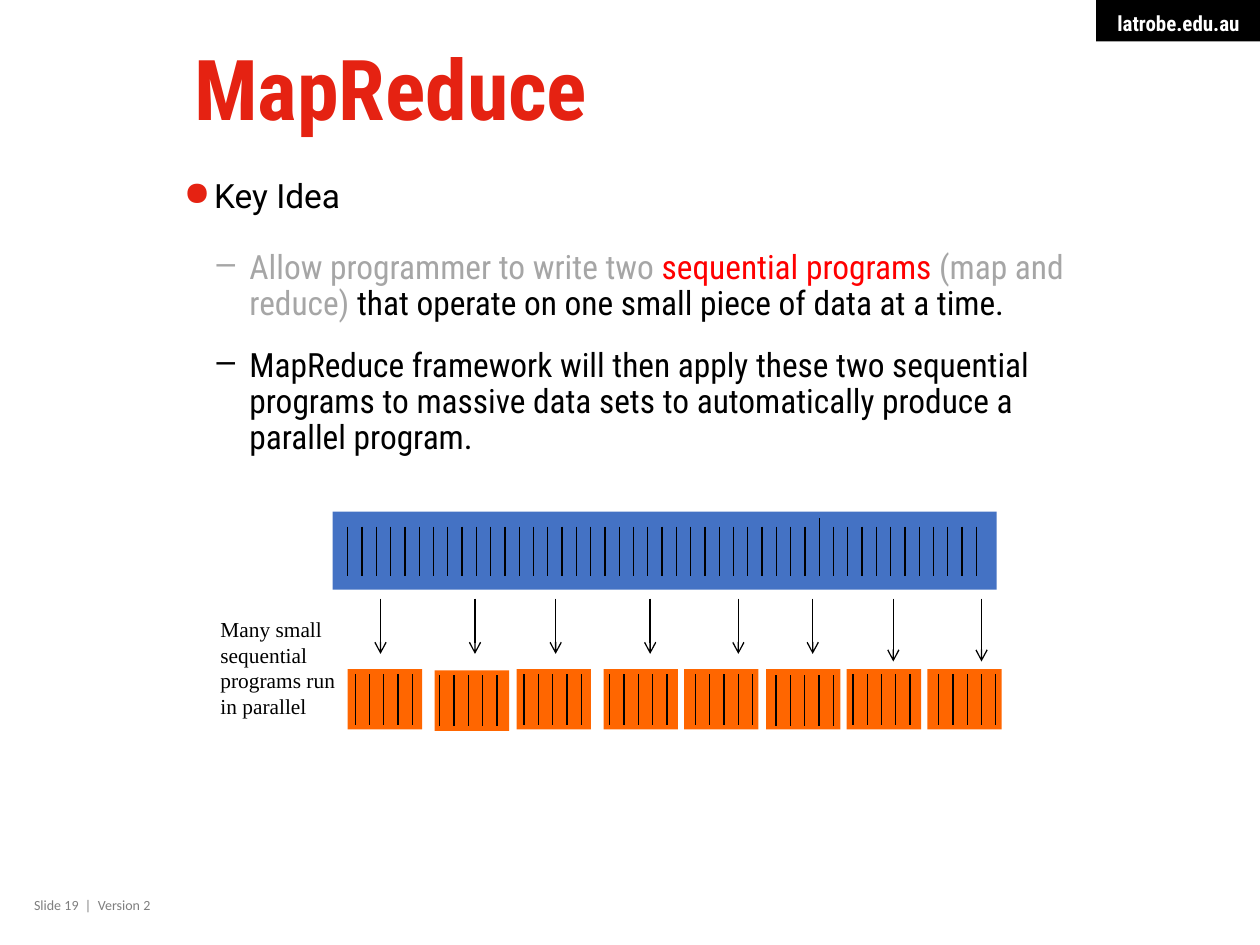
import pptx
import pptx.dml.color
import pptx.enum.shapes
import pptx.enum.text
import pptx.oxml.ns
import pptx.util
from lxml import etree

RGBColor = pptx.dml.color.RGBColor
BLACK = RGBColor(0, 0, 0)
WHITE = RGBColor(255, 255, 255)
BRAND_RED = RGBColor(0xE5, 0x22, 0x12)
BRIGHT_RED = RGBColor(255, 0, 0)
PALE_GREY = RGBColor(0xA6, 0xA6, 0xA6)
FOOTER_GREY = RGBColor(0x7F, 0x7F, 0x7F)
DATA_BLUE = RGBColor(0x44, 0x72, 0xC4)
CHUNK_ORANGE = RGBColor(255, 0x66, 0)

CONDENSED = "Roboto Condensed"
BODY_SIZE = 19.1
TICK_PITCH = 0.1134
DATA_TICKS = 45
TALL_TICK = 33
CHUNK_TICKS = 5
ARROW_TOP = 4.75

# left, top, first tick, tick top, arrow x, arrow end
CHUNKS = [
    (2.76, 5.31, 2.82, 5.35, 3.02, 5.19),
    (3.45, 5.32, 3.49, 5.36, 3.77, 5.19),
    (4.10, 5.31, 4.16, 5.35, 4.41, 5.19),
    (4.79, 5.31, 4.84, 5.35, 5.16, 5.19),
    (5.43, 5.31, 5.52, 5.35, 5.86, 5.19),
    (6.08, 5.31, 6.16, 5.36, 6.45, 5.19),
    (6.72, 5.31, 6.77, 5.35, 7.09, 5.25),
    (7.36, 5.31, 7.45, 5.35, 7.79, 5.25),
]

KEY_POINTS = [
    [("Allow programmer to write two ", PALE_GREY),
     ("sequential programs", BRIGHT_RED),
     (" (map and reduce) ", PALE_GREY),
     ("that operate on one small piece of data at a time.", BLACK)],
    [("MapReduce framework will then apply these two sequential programs to "
      "massive data sets to automatically produce a parallel program.", BLACK)],
]


def inches(*lengths):
    return [pptx.util.Inches(length) for length in lengths]


def set_font(font, name, size, color=None, bold=False):
    font.name = name
    font.size = pptx.util.Pt(size)
    font.bold = bold
    if color is not None:
        font.color.rgb = color


def set_frame(frame, insets=(0, 0, 0, 0), wrap=True):
    (frame.margin_left, frame.margin_top,
     frame.margin_right, frame.margin_bottom) = inches(*insets)
    frame.word_wrap = wrap
    frame.auto_size = pptx.enum.text.MSO_AUTO_SIZE.NONE
    frame.vertical_anchor = pptx.enum.text.MSO_ANCHOR.TOP


def add_label(shapes, box, text, insets, name, size, color):
    label = shapes.add_textbox(*inches(*box))
    set_frame(label.text_frame, insets)
    paragraph = label.text_frame.paragraphs[0]
    paragraph.text = text
    set_font(paragraph.font, name, size, color)


def add_block(shapes, box, color):
    block = shapes.add_shape(
        pptx.enum.shapes.MSO_SHAPE.RECTANGLE, *inches(*box))
    block.shadow.inherit = False
    block.fill.solid()
    block.fill.fore_color.rgb = color
    block.line.fill.background()
    return block


def add_vertical(shapes, x, top, bottom, arrow=False):
    stroke = shapes.add_connector(
        pptx.enum.shapes.MSO_CONNECTOR.STRAIGHT, *inches(x, top, x, bottom))
    stroke.line.color.rgb = BLACK
    stroke.line.width = pptx.util.Pt(0.75)
    qn = pptx.oxml.ns.qn
    if arrow:
        outline = stroke.line._get_or_add_ln()
        etree.SubElement(outline, qn("a:tailEnd"), type="arrow")
    etree.SubElement(stroke._element.spPr, qn("a:effectLst"))


def set_bullet(paragraph, symbol, left, hanging, color=None):
    qn = pptx.oxml.ns.qn
    properties = paragraph._p.get_or_add_pPr()
    properties.set("marL", str(pptx.util.Inches(left)))
    properties.set("indent", str(-pptx.util.Inches(hanging)))
    if color is not None:
        bullet_color = etree.SubElement(properties, qn("a:buClr"))
        etree.SubElement(bullet_color, qn("a:srgbClr"), val=str(color))
    etree.SubElement(properties, qn("a:buChar"), char=symbol)


def add_title(slide):
    title = slide.shapes.title
    title.left, title.top, title.width, title.height = inches(
        1.54, 0.33, 6.68, 0.57)
    set_frame(title.text_frame)
    paragraph = title.text_frame.paragraphs[0]
    paragraph.text = "MapReduce"
    paragraph.alignment = pptx.enum.text.PP_ALIGN.LEFT
    paragraph.line_spacing = pptx.util.Pt(55)
    set_font(paragraph.font, CONDENSED, 48, BRAND_RED, True)


def add_site_banner(slide):
    banner = add_block(slide.shapes, (8.7, 0, 1.3, 0.33), BLACK)
    set_frame(banner.text_frame, (0.16, 0.08, 0.16, 0.05), wrap=False)
    paragraph = banner.text_frame.paragraphs[0]
    paragraph.text = "latrobe.edu.au"
    paragraph.alignment = pptx.enum.text.PP_ALIGN.RIGHT
    set_font(paragraph.font, CONDENSED, 12, WHITE, True)


def add_key_idea(slide):
    body = slide.shapes.add_textbox(*inches(1.46, 1.39, 7.09, 4.04))
    frame = body.text_frame
    set_frame(frame)
    heading = frame.paragraphs[0]
    heading.text = "Key Idea"
    heading.space_after = pptx.util.Pt(15)
    set_bullet(heading, "●", 0.24, 0.24, BRAND_RED)
    set_font(heading.font, "Roboto", BODY_SIZE, BLACK)
    for runs in KEY_POINTS:
        point = frame.add_paragraph()
        point.level = 1
        point.line_spacing = 0.9
        point.space_before = pptx.util.Pt(5)
        point.space_after = pptx.util.Pt(10)
        set_bullet(point, "–", 0.52, 0.26)
        set_font(point.font, CONDENSED, BODY_SIZE)
        for text, color in runs:
            run = point.add_run()
            run.text = text
            run.font.color.rgb = color


def add_parallel_diagram(slide):
    shapes = slide.shapes.add_group_shape().shapes
    add_block(shapes, (2.64, 4.06, 5.27, 0.62), DATA_BLUE)
    for tick in range(DATA_TICKS):
        top = 4.11 if tick == TALL_TICK else 4.18
        add_vertical(shapes, 2.76 + tick * TICK_PITCH, top, 4.57)
    for left, top, first_tick, tick_top, arrow_x, arrow_end in CHUNKS:
        add_block(shapes, (left, top, 0.59, 0.48), CHUNK_ORANGE)
        for tick in range(CHUNK_TICKS):
            add_vertical(shapes, first_tick + tick * TICK_PITCH,
                         tick_top, tick_top + 0.4)
        add_vertical(shapes, arrow_x, ARROW_TOP, arrow_end, arrow=True)
    add_label(shapes, (1.68, 4.86, 1.07, 0.89),
              "Many small sequential programs run in parallel",
              (0.07, 0.03, 0.07, 0.03), "Times New Roman", 12.2, BLACK)


def main():
    presentation = pptx.Presentation()
    presentation.slide_width, presentation.slide_height = inches(10, 7.5)
    slide = presentation.slides.add_slide(presentation.slide_layouts[5])
    add_site_banner(slide)
    add_label(slide.shapes, (0.27, 7.07, 2.69, 0.24), "Slide 19  |  Version 2",
              (0, 0.05, 0.1, 0.05), "Calibri", 8, FOOTER_GREY)
    add_title(slide)
    add_key_idea(slide)
    add_parallel_diagram(slide)
    presentation.save("out.pptx")


if __name__ == "__main__":
    main()
